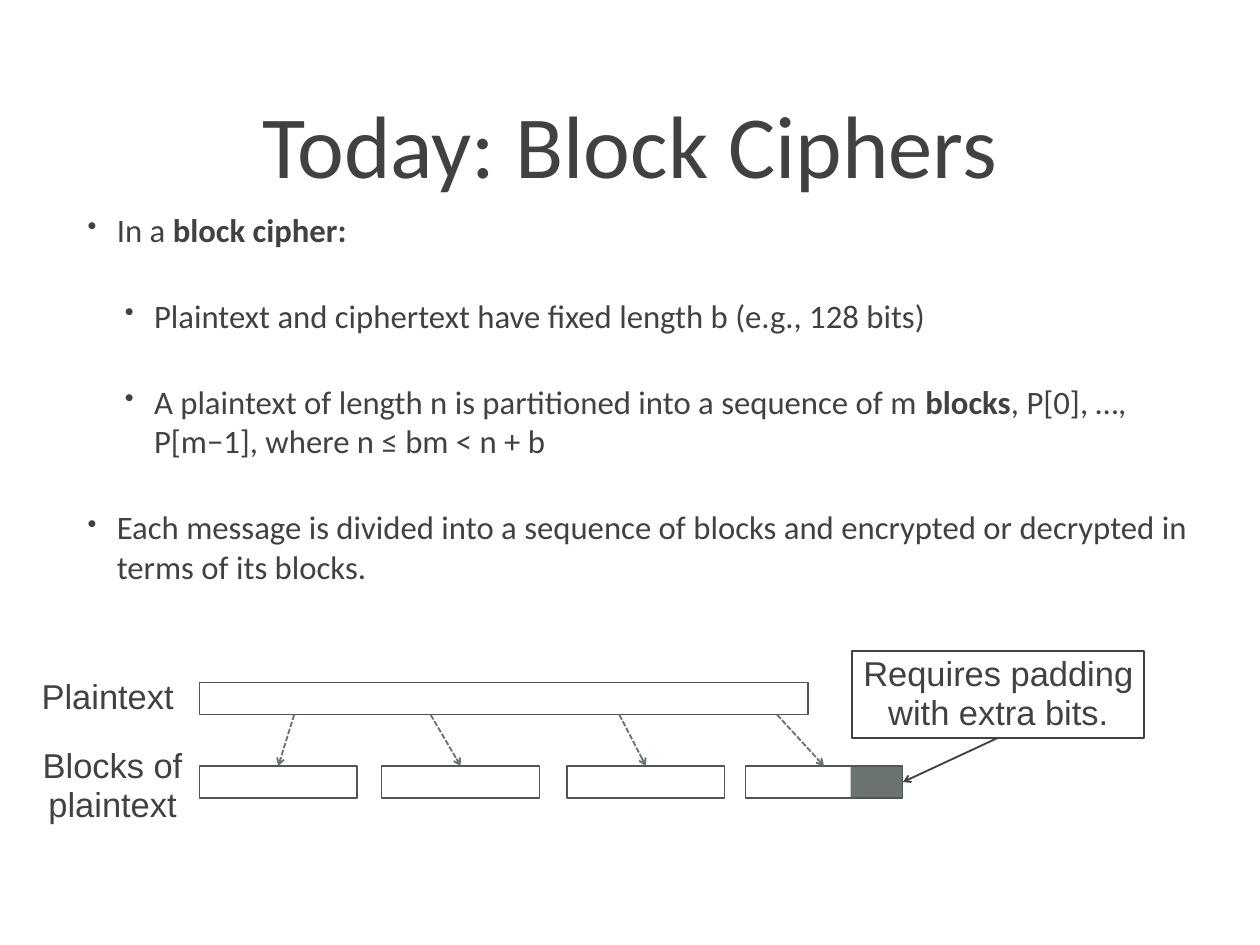
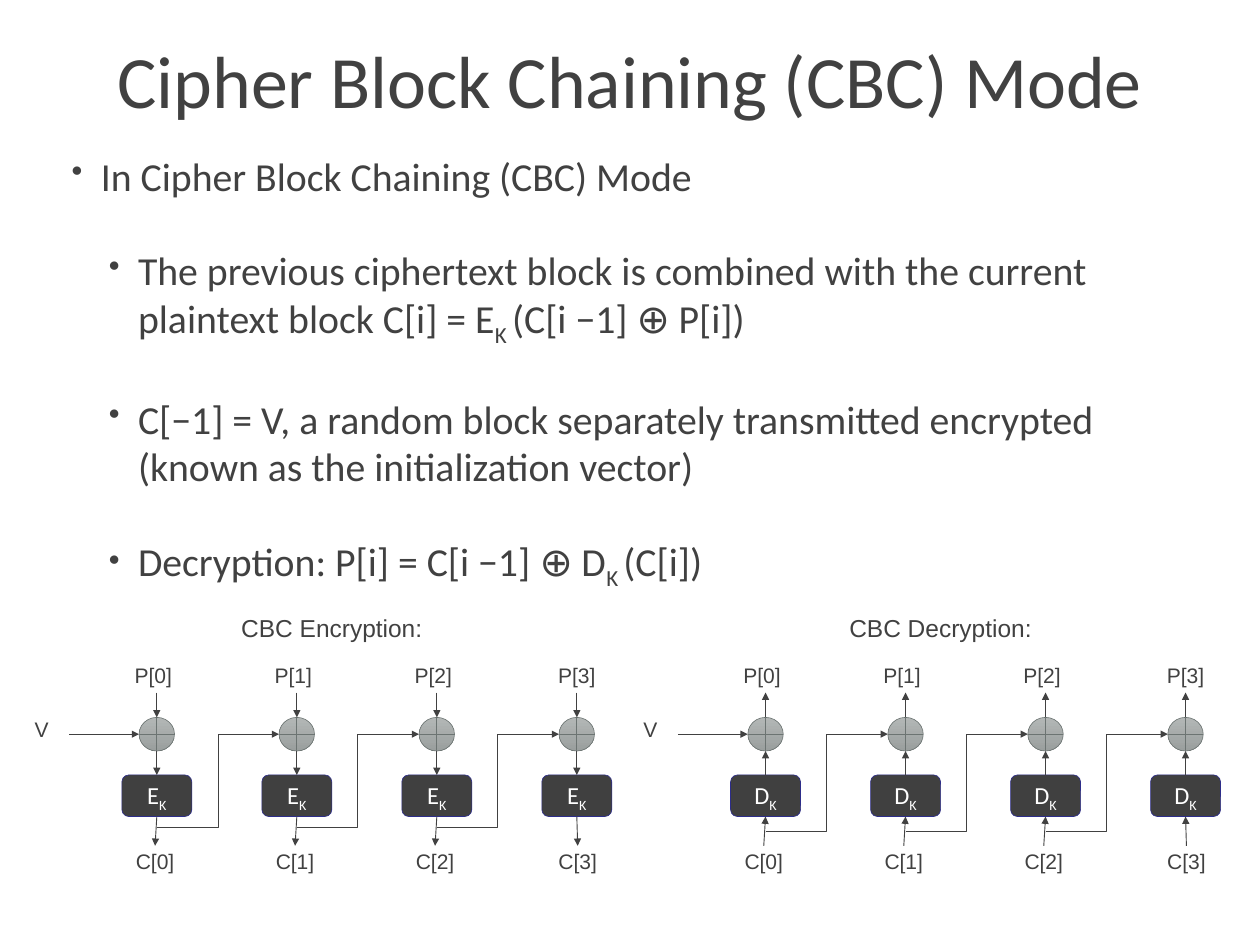
import dataclasses

import lxml.etree
import pptx
import pptx.dml.color
import pptx.enum.dml
import pptx.enum.shapes
import pptx.enum.text
import pptx.oxml.ns
import pptx.util

Inches, Pt = pptx.util.Inches, pptx.util.Pt
SHAPE = pptx.enum.shapes.MSO_SHAPE
CONNECTOR = pptx.enum.shapes.MSO_CONNECTOR
ALIGN, ANCHOR = pptx.enum.text.PP_ALIGN, pptx.enum.text.MSO_ANCHOR
AUTO_SIZE = pptx.enum.text.MSO_AUTO_SIZE
DASH = pptx.enum.dml.MSO_LINE.SQUARE_DOT
qn = pptx.oxml.ns.qn
TOP, BOTTOM, RIGHT = 0, 2, 3


@dataclasses.dataclass(frozen=True)
class Theme:
    size: tuple = (14.22, 10.67)
    ink: str = "414141"
    white: str = "FFFFFF"
    outline: str = "505654"
    gray: str = "6C7472"
    key_fill: str = "404040"
    key_line: str = "2D2D8A"
    xor_fill: tuple = ("B3B7B6", "9A9F9E")
    heading_font: str = "Calibri"
    label_font: str = "Arial"
    label_size: float = 28
    caption_size: float = 19.9
    small_size: float = 17.1
    line_spacing: float = 0.93
    bullet_gap: float = 38
    bullet_percent: int = 81
    hanging: float = 0.33
    level_indents: tuple = (0.33, 0.75)


THEME = Theme()

# Each bullet is (level, runs); each run is (text, style).
BLOCK_CIPHERS = {
    "title": "Today: Block Ciphers",
    "title_box": (0.39, 0.28, 13.44, 2.67), "title_size": 72,
    "body_box": (0.89, 2.32, 12.8, 4.5), "body_size": 26.6,
    "bullets": [
        (0, [("In a ", ""), ("block cipher:", "bold")]),
        (1, [("Plaintext and ciphertext have fixed length b (e.g., 128 bits)", "")]),
        (1, [("A plaintext of length n is partitioned into a sequence of m ", ""),
             ("blocks", "bold"),
             (", P[0], …, P[m−1], where n ≤ bm < n + b", "")]),
        (0, [("Each message is divided into a sequence of blocks and encrypted or "
              "decrypted in terms of its blocks.", "")]),
    ],
}
CBC_MODE = {
    "title": "Cipher Block Chaining (CBC) Mode",
    "title_box": (0.71, 0, 12.8, 1.78), "title_size": 60,
    "body_box": (0.71, 1.66, 12.8, 5.1), "body_size": 32.3,
    "bullets": [
        (0, [("In Cipher Block Chaining (CBC) Mode", "")]),
        (1, [("The previous ciphertext block is combined with the current plaintext "
              "block C[i] = E", ""), ("K ", "sub"), ("(C[i −1] ⊕ P[i])", "")]),
        (1, [("C[−1] = V, a random block separately transmitted encrypted "
              "(known as the initialization vector)", "")]),
        (1, [("Decryption: P[i] = C[i −1] ⊕ D", ""), ("K ", "sub"), ("(C[i])", "")]),
    ],
}
# (block left, start of the arrow that leads to it)
BLOCKS = [(2.25, 3.32), (4.31, 4.86), (6.4, 6.99), (8.41, 8.77)]
ROW_LABELS = [(["Plaintext"], (0.36, 7.61, 1.71, 0.54)),
              (["Blocks of", "plaintext"], (0.37, 8.39, 1.8, 0.98))]
PADDING_NOTE = ["Requires padding", "with extra bits."]

CBC_DIAGRAMS = [
    {"caption": "CBC Encryption:", "key": "E", "first": 1.77, "tap": 9.34, "arrow": "tailEnd"},
    {"caption": "CBC Decryption:", "key": "D", "first": 8.64, "tap": 9.39, "arrow": "headEnd"},
]
STAGE_PITCH = 1.58
PLAIN_SHIFTS = (-0.04, -0.04, -0.04, 0)
CIPHER_SHIFTS = (-0.02, -0.02, -0.02, 0.01)


def color(value):
    return pptx.dml.color.RGBColor.from_string(value)


def apply(target, values):
    for name, value in values.items():
        setattr(target, name, value)


def add_runs(paragraph, runs, font, size, ink):
    for text, style in runs:
        run = paragraph.add_run()
        run.text = text
        apply(run.font, {"name": font, "size": Pt(size), "bold": style == "bold"})
        run.font.color.rgb = color(ink)
        if style == "sub":
            run._r.get_or_add_rPr().set("baseline", "-25000")


def write_lines(shape, lines, size, font=THEME.label_font, ink=THEME.ink):
    """Put centred, unwrapped lines into a shape; each line is a list of runs."""
    frame = shape.text_frame
    apply(frame, {"word_wrap": False, "auto_size": AUTO_SIZE.NONE,
                  "vertical_anchor": ANCHOR.MIDDLE})
    for index, runs in enumerate(lines):
        paragraph = frame.add_paragraph() if index else frame.paragraphs[0]
        apply(paragraph, {"alignment": ALIGN.CENTER, "line_spacing": THEME.line_spacing})
        add_runs(paragraph, runs, font, size, ink)


def add_label(slide, lines, box, size):
    label = slide.shapes.add_textbox(*map(Inches, box))
    write_lines(label, [[(line, "")] for line in lines], size)
    return label


def add_shape(slide, kind, box, fill=None, line=None, width=1):
    shape = slide.shapes.add_shape(kind, *map(Inches, box))
    shape.shadow.inherit = False
    if isinstance(fill, tuple):
        shape.fill.gradient()
        shape.fill.gradient_angle = 270
        for stop, position, value in zip(shape.fill.gradient_stops, (0, 1), fill):
            stop.position = position
            stop.color.rgb = color(value)
    elif fill:
        shape.fill.solid()
        shape.fill.fore_color.rgb = color(fill)
    else:
        shape.fill.background()
    if line:
        shape.line.color.rgb = color(line)
        shape.line.width = Pt(width)
    else:
        shape.line.fill.background()
    return shape


def add_arrow(slide, start, end, ink=THEME.ink, width=0.75, dash=None, arrow="tailEnd",
              head="triangle", kind=CONNECTOR.STRAIGHT, begin_join=None, end_join=None):
    """Draw an arrow; a join is (shape, side) and fixes that end to the side."""
    connector = slide.shapes.add_connector(kind, *map(Inches, (*start, *end)))
    connector.line.color.rgb = color(ink)
    connector.line.width = Pt(width)
    if dash:
        connector.line.dash_style = dash
    if begin_join:
        connector.begin_connect(*begin_join)
    if end_join:
        connector.end_connect(*end_join)
    properties = connector._element.spPr
    lxml.etree.SubElement(properties.find(qn("a:ln")), qn("a:" + arrow), type=head)
    lxml.etree.SubElement(properties, qn("a:effectLst"))


def add_bullet(paragraph, level):
    properties = paragraph._p.get_or_add_pPr()
    properties.set("marL", str(Inches(THEME.level_indents[level])))
    properties.set("indent", str(-Inches(THEME.hanging)))
    bullet_color = lxml.etree.SubElement(properties, qn("a:buClr"))
    lxml.etree.SubElement(bullet_color, qn("a:srgbClr"), val=THEME.ink)
    lxml.etree.SubElement(properties, qn("a:buSzPct"), val=str(THEME.bullet_percent * 1000))
    lxml.etree.SubElement(properties, qn("a:buChar"), char="•")


def add_bullet_slide(presentation, content):
    slide = presentation.slides.add_slide(presentation.slide_layouts[5])
    title = slide.shapes.title
    apply(title, dict(zip(("left", "top", "width", "height"),
                          map(Inches, content["title_box"]))))
    margins = dict.fromkeys(
        ("margin_left", "margin_top", "margin_right", "margin_bottom"), Inches(0.06))
    apply(title.text_frame, {"word_wrap": True, "auto_size": AUTO_SIZE.NONE,
                             "vertical_anchor": ANCHOR.MIDDLE, **margins})
    heading = title.text_frame.paragraphs[0]
    heading.alignment = ALIGN.CENTER
    add_runs(heading, [(content["title"], "")], THEME.heading_font,
             content["title_size"], THEME.ink)

    frame = slide.shapes.add_textbox(*map(Inches, content["body_box"])).text_frame
    frame.word_wrap = True
    for index, (level, runs) in enumerate(content["bullets"]):
        paragraph = frame.add_paragraph() if index else frame.paragraphs[0]
        paragraph.level = level
        add_bullet(paragraph, level)
        if index:
            paragraph.space_before = Pt(THEME.bullet_gap)
        add_runs(paragraph, runs, THEME.heading_font, content["body_size"], THEME.ink)
    return slide


def draw_partition(slide):
    """Draw the plaintext bar, its blocks and the padding of the last block."""
    bar_top, block_top, height, block_width, padding_width = 7.71, 8.65, 0.36, 1.78, 0.59
    bar_bottom = bar_top + height
    last_left = BLOCKS[-1][0]
    padding_left = last_left + block_width - padding_width
    padding = add_shape(slide, SHAPE.RECTANGLE,
                        (padding_left, block_top, padding_width, height), THEME.gray)
    add_shape(slide, SHAPE.RECTANGLE, (BLOCKS[0][0], bar_top, 6.87, height),
              THEME.white, THEME.outline)
    for left, arrow_start in BLOCKS:
        fill = None if left == last_left else THEME.white
        block = add_shape(slide, SHAPE.RECTANGLE, (left, block_top, block_width, height),
                          fill, THEME.outline)
        add_arrow(slide, (arrow_start, bar_bottom), (left + block_width / 2, block_top),
                  THEME.gray, 1.5, DASH, head="arrow", end_join=(block, TOP))
    for lines, box in ROW_LABELS:
        add_label(slide, lines, box, THEME.label_size)
    note = add_shape(slide, SHAPE.RECTANGLE, (9.62, 7.35, 3.29, 0.98), None, THEME.ink, 1.5)
    write_lines(note, [[(line, "")] for line in PADDING_NOTE], THEME.label_size)
    add_arrow(slide, (11.26, 8.33), (10.19, 8.83), width=1.5, head="arrow",
              begin_join=(note, BOTTOM), end_join=(padding, RIGHT))


def draw_chain(slide, caption, key, first, tap, arrow):
    """Draw one row of four chained cipher stages, the first centred at first."""
    plain_top, xor_top, key_top, cipher_top = 7.45, 8.1, 8.75, 9.55
    label_width, label_height, xor_size, key_width, key_height = 0.64, 0.37, 0.38, 0.79, 0.47
    xor_middle, xor_bottom = xor_top + xor_size / 2, xor_top + xor_size
    xor_radius = 0.2
    count = len(PLAIN_SHIFTS)

    def small_label(text, center, top):
        box = (center - label_width / 2, top, label_width, label_height)
        return add_label(slide, [text], box, THEME.small_size)

    add_label(slide, [caption], (first + 0.84, 6.9, 2.27, 0.41), THEME.caption_size)
    small_label("V", first - 1.3, 8.06)
    add_arrow(slide, (first - 0.99, xor_middle), (first - xor_radius, xor_middle))
    for index in range(count):
        center = first + index * STAGE_PITCH
        small_label(f"P[{index}]", center + PLAIN_SHIFTS[index], plain_top)
        cipher_center = center + CIPHER_SHIFTS[index]
        cipher = small_label(f"C[{index}]", cipher_center, cipher_top)
        xor = add_shape(slide, SHAPE.FLOWCHART_OR,
                        (center - xor_radius, xor_top, 2 * xor_radius, xor_size),
                        THEME.xor_fill, THEME.gray, 0.5)
        key_box = add_shape(slide, SHAPE.ROUNDED_RECTANGLE,
                            (center - key_width / 2, key_top, key_width, key_height),
                            THEME.key_fill, THEME.key_line, 0.5)
        write_lines(key_box, [[(key, ""), ("K", "sub")]], THEME.caption_size,
                    THEME.heading_font, THEME.white)
        add_arrow(slide, (center, plain_top + label_height), (center, xor_top),
                  arrow=arrow, end_join=(xor, TOP))
        add_arrow(slide, (center, xor_bottom), (center, key_top),
                  arrow=arrow, end_join=(key_box, TOP))
        add_arrow(slide, (center, key_top + key_height), (cipher_center, cipher_top),
                  arrow=arrow, begin_join=(key_box, BOTTOM), end_join=(cipher, TOP))
        if index < count - 1:
            add_arrow(slide, (center, tap), (center + STAGE_PITCH - xor_radius, xor_middle),
                      kind=CONNECTOR.ELBOW)


def main():
    presentation = pptx.Presentation()
    presentation.slide_width, presentation.slide_height = map(Inches, THEME.size)
    draw_partition(add_bullet_slide(presentation, BLOCK_CIPHERS))
    cbc_slide = add_bullet_slide(presentation, CBC_MODE)
    for diagram in CBC_DIAGRAMS:
        draw_chain(cbc_slide, **diagram)
    presentation.save("out.pptx")


if __name__ == "__main__":
    main()
